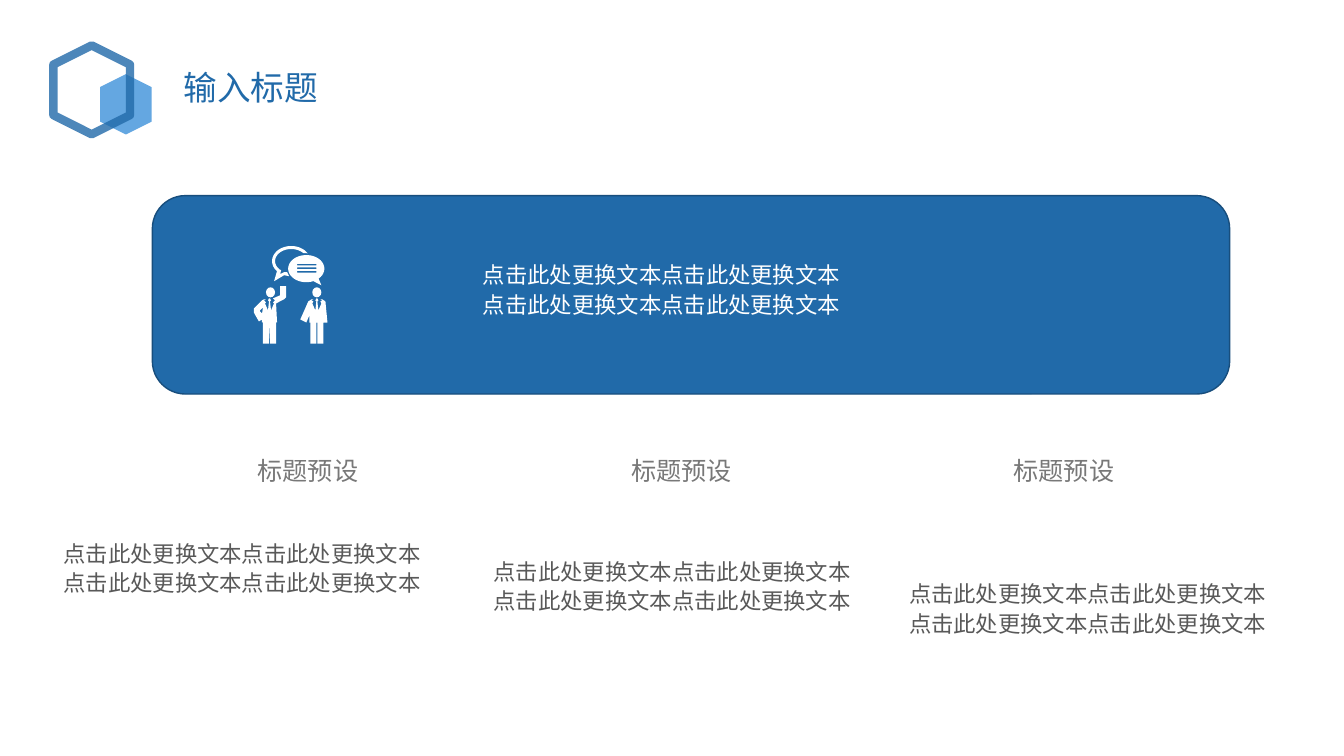
from dataclasses import dataclass
from math import cos, radians, sin

from lxml import etree
from pptx import Presentation
from pptx.dml.color import RGBColor
from pptx.enum.shapes import MSO_SHAPE
from pptx.enum.text import MSO_ANCHOR, MSO_AUTO_SIZE, PP_ALIGN
from pptx.oxml.ns import qn
from pptx.util import Cm, Pt

HEXAGON = MSO_SHAPE.HEXAGON
ROUNDED = MSO_SHAPE.ROUNDED_RECTANGLE
OVAL = MSO_SHAPE.OVAL
TOP = MSO_ANCHOR.TOP
NO_FIT = MSO_AUTO_SIZE.NONE
LEFT = PP_ALIGN.LEFT
CENTER = PP_ALIGN.CENTER

BODY_LINES = ["点击此处更换文本点击此处更换文本"] * 2

ICON_GRID_HEIGHT = 97
SPEAKER = [
    (32, 51), (32, 40), (26, 40), (26, 49), (19, 52), (21, 54), (19, 56), (20, 57),
    (17, 64), (16, 55), (17, 54), (16, 52), (15, 52), (14, 54), (15, 55), (14, 64),
    (11, 57), (12, 56), (10, 54), (12, 53), (10, 53), (8, 54), (0, 62), (0, 66),
    (1, 68), (5, 75), (8, 73), (8, 76), (9, 76), (9, 97), (15, 97), (16, 76),
    (16, 97), (22, 97), (22, 76), (23, 76), (22, 57), (30, 53),
]
SPEAKER_ARM_GAP = [(8, 68), (8, 67), (6, 65), (6, 64), (9, 61)]
LISTENER = [
    (71, 55), (68, 53), (66, 53), (68, 54), (66, 55), (67, 57), (64, 64), (63, 55),
    (64, 54), (63, 52), (62, 52), (61, 54), (62, 55), (61, 64), (58, 57), (59, 55),
    (57, 54), (59, 53), (57, 53), (54, 55), (46, 73), (52, 76), (55, 69), (55, 76),
    (56, 76), (56, 97), (62, 97), (62, 76), (63, 76), (63, 97), (69, 97), (69, 76),
    (73, 76),
]
BACK_BUBBLE_TAIL = [
    (20, 35), (30, 29), (35, 30), (33, 26), (30, 26), (26, 28), (27, 24),
]


@dataclass(frozen=True)
class Theme:
    """Colours, type sizes and spacing of the slide."""

    font: str = "Noto Sans CJK SC"
    blue: RGBColor = RGBColor(0x21, 0x6A, 0xA9)
    dark_blue: RGBColor = RGBColor(0x18, 0x4E, 0x7D)
    light_blue: RGBColor = RGBColor(0x64, 0xA7, 0xE1)
    white: RGBColor = RGBColor(0xFF, 0xFF, 0xFF)
    heading: RGBColor = RGBColor(0x78, 0x78, 0x78)
    body: RGBColor = RGBColor(0x59, 0x59, 0x59)
    title_size: int = 24
    heading_size: int = 18
    body_size: int = 16
    line_spacing: float = 1.1


THEME = Theme()


@dataclass(frozen=True)
class Box:
    """A rectangle in centimetres."""

    left: float
    top: float
    width: float
    height: float

    def inner(self, left, top, width, height):
        """Return a box offset from this one's corner."""
        return Box(self.left + left, self.top + top, width, height)

    def lengths(self):
        """Return left, top, width and height as lengths."""
        return Cm(self.left), Cm(self.top), Cm(self.width), Cm(self.height)


def write_text(shape, lines, size, color, alignment=LEFT):
    """Fill a shape's text frame with one paragraph per line."""
    frame = shape.text_frame
    frame.word_wrap = True
    frame.auto_size = NO_FIT
    frame.vertical_anchor = TOP
    for index, line in enumerate(lines):
        paragraph = frame.add_paragraph() if index else frame.paragraphs[0]
        paragraph.alignment = alignment
        paragraph.line_spacing = THEME.line_spacing
        paragraph.space_before = Pt(0)
        run = paragraph.add_run()
        run.text = line
        run.font.size = Pt(size)
        run.font.color.rgb = color
        run.font.name = THEME.font
        etree.SubElement(run.font._element, qn("a:ea"), typeface=THEME.font)


def add_text(slide, box, lines, size, color, alignment=LEFT):
    """Add a text box."""
    write_text(slide.shapes.add_textbox(*box.lengths()), lines, size, color, alignment)


def paint(shape, fill=None, line=None, line_width=0):
    """Set a shape's fill and line and drop its shadow."""
    shape.shadow.inherit = False
    if fill is None:
        shape.fill.background()
    else:
        shape.fill.solid()
        shape.fill.fore_color.rgb = fill
    if line is None:
        shape.line.fill.background()
    else:
        shape.line.color.rgb = line
        shape.line.width = Pt(line_width)


def add_header(slide, box):
    """Place the title and the two overlapping hexagons."""
    title = slide.shapes.title
    title.left, title.top, title.width, title.height = box.inner(3.18, 0.15, 9.75, 1.4).lengths()
    write_text(title, ["输入标题"], THEME.title_size, THEME.blue)

    solid = slide.shapes.add_shape(HEXAGON, *box.inner(1.22, 0.68, 1.52, 1.3).lengths())
    paint(solid, fill=THEME.light_blue)
    outline = slide.shapes.add_shape(HEXAGON, *box.inner(0, 0, 2.24, 1.93).lengths())
    paint(outline, line=THEME.blue, line_width=6)
    color = outline.line._ln.find(".//" + qn("a:srgbClr"))
    etree.SubElement(color, qn("a:alpha"), val="80000")
    for hexagon in (solid, outline):
        hexagon.rotation = 90


def arc(center, radii, start, end, steps=36):
    """Return points along an ellipse between two angles in degrees."""
    angles = [radians(start + (end - start) * step / steps) for step in range(steps + 1)]
    return [(center[0] + radii[0] * cos(a), center[1] + radii[1] * sin(a)) for a in angles]


def add_icon(slide, box):
    """Draw two people talking under two speech bubbles."""
    shapes = slide.shapes.add_group_shape().shapes
    unit = box.height / ICON_GRID_HEIGHT
    for head_left in (12, 58):
        head = box.inner(head_left * unit, 41 * unit, 9 * unit, 10 * unit)
        paint(shapes.add_shape(OVAL, *head.lengths()), fill=THEME.white)

    back_bubble = (
        arc((37, 15), (19, 15), -31, -222)
        + BACK_BUBBLE_TAIL
        + arc((37, 15), (16, 12), -224, -42)
    )
    front_bubble = arc((52, 22.5), (18, 13.5), 67, 407) + [(67, 39)]
    text_bars = [
        [(43, top), (62, top), (62, top + 1.7), (43, top + 1.7)]
        for top in (17.7, 21.2, 24.7)
    ]
    for contours in (
        [LISTENER],
        [SPEAKER, SPEAKER_ARM_GAP],
        [back_bubble],
        [front_bubble, *text_bars],
    ):
        outlines = [[(Cm(x * unit), Cm(y * unit)) for x, y in contour] for contour in contours]
        builder = shapes.build_freeform(*outlines[0][0])
        builder.add_line_segments(outlines[0][1:], close=True)
        for hole in outlines[1:]:
            builder.move_to(*hole[0])
            builder.add_line_segments(hole[1:], close=True)
        paint(builder.convert_to_shape(Cm(box.left), Cm(box.top)), fill=THEME.white)


def add_banner(slide, box):
    """Place the rounded banner with its icon and text."""
    banner = slide.shapes.add_shape(ROUNDED, *box.lengths())
    paint(banner, THEME.blue, THEME.dark_blue, 1)
    add_icon(slide, box.inner(2.56, 1.27, 1.85, 2.46))
    add_text(slide, box.inner(8.08, 1.47, 19.07, 1.9), BODY_LINES, THEME.body_size, THEME.white)


def add_column(slide, box, heading_indent, body_drop):
    """Place a column's centred heading and the text below it."""
    heading = box.inner(heading_indent, 0, 3.68, 1.12)
    add_text(slide, heading, ["标题预设"], THEME.heading_size, THEME.heading, CENTER)
    body = box.inner(0, body_drop, box.width, 1.9)
    add_text(slide, body, BODY_LINES, THEME.body_size, THEME.body)


def main():
    """Build and save the slide."""
    presentation = Presentation()
    presentation.slide_width = Cm(33.87)
    presentation.slide_height = Cm(19.05)
    slide = presentation.slides.add_slide(presentation.slide_layouts.get_by_name("Title Only"))
    add_header(slide, Box(1.19, 1.3, 12.93, 2.24))
    add_banner(slide, Box(3.84, 4.93, 27.15, 5))
    for left, heading_indent, body_drop in (
        (1.35, 4.57, 2.13),
        (12.19, 3.15, 2.59),
        (22.66, 2.31, 3.15),
    ):
        add_column(slide, Box(left, 11.28, 9.8, 5.05), heading_indent, body_drop)
    presentation.save("out.pptx")


if __name__ == "__main__":
    main()
